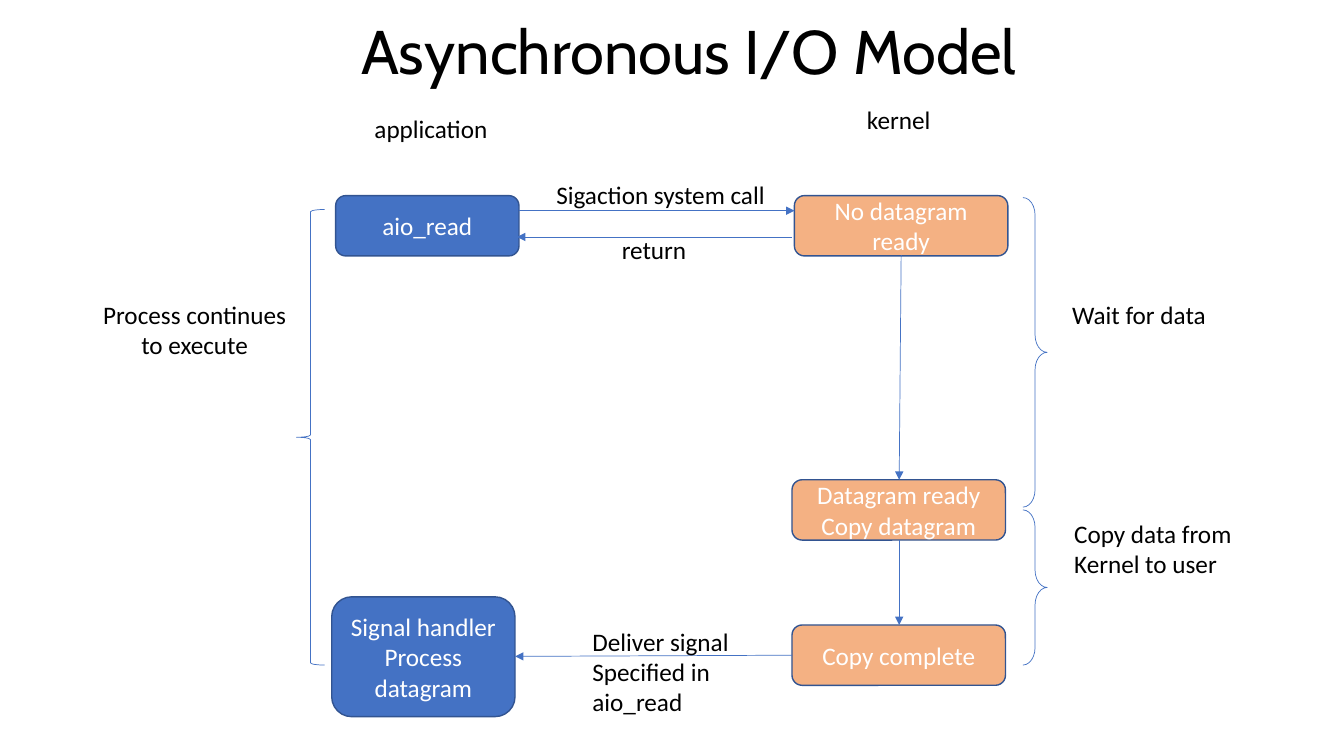
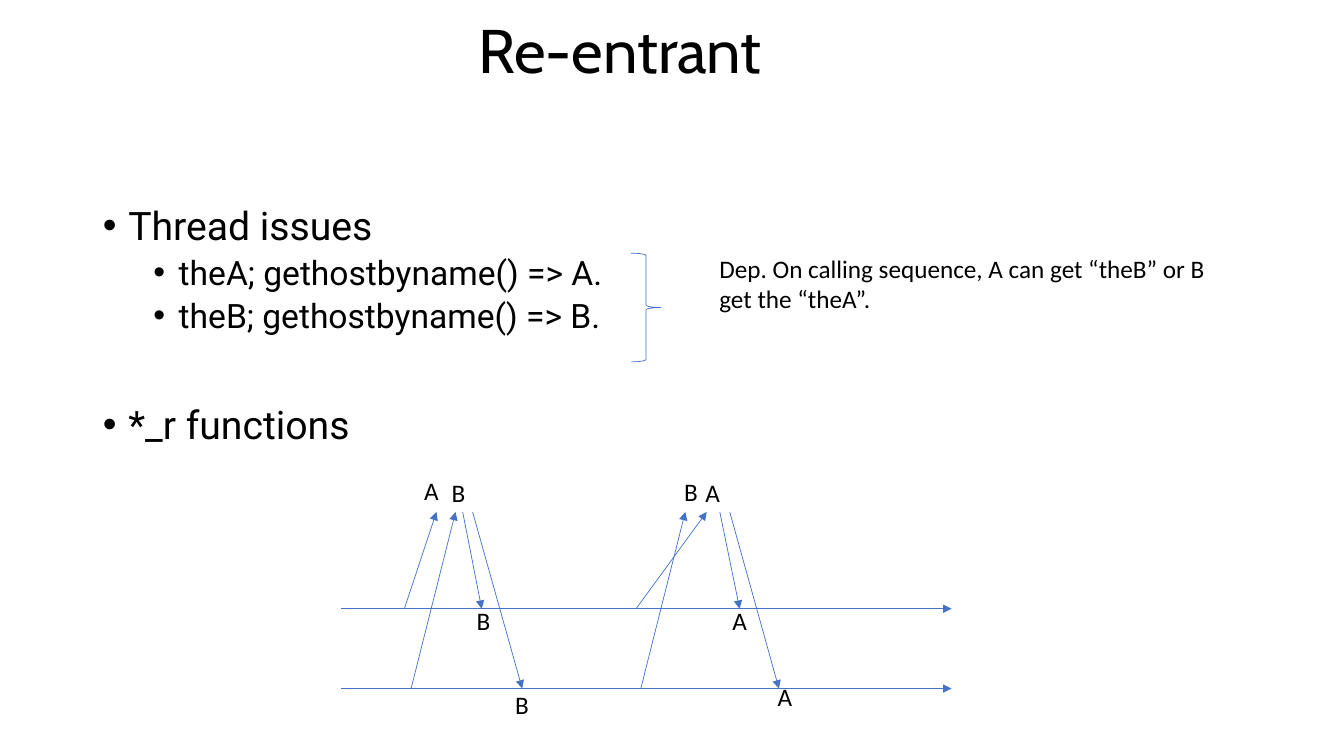
from dataclasses import dataclass

from pptx import Presentation
from pptx.dml.color import RGBColor
from pptx.enum.shapes import MSO_CONNECTOR, MSO_SHAPE
from pptx.enum.text import MSO_ANCHOR, MSO_AUTO_SIZE, PP_ALIGN
from pptx.oxml.ns import qn
from pptx.util import Cm, Pt
from lxml.etree import SubElement


@dataclass(frozen=True)
class Theme:
    black: RGBColor = RGBColor.from_string("000000")
    white: RGBColor = RGBColor.from_string("FFFFFF")
    blue: RGBColor = RGBColor.from_string("4472C4")
    navy: RGBColor = RGBColor.from_string("325491")
    orange: RGBColor = RGBColor.from_string("F4B183")
    title_font: str = "Cabin"
    body_font: str = "Roboto"
    label_font: str = "Calibri"
    title_size: Pt = Pt(44)
    bullet_size: Pt = Pt(28)
    sub_bullet_size: Pt = Pt(24)
    label_size: Pt = Pt(18)
    thin: Pt = Pt(0.5)
    outline: Pt = Pt(1)


theme = Theme()


def write(frame, text, font, size, color, align):
    frame.text = text
    frame.auto_size = MSO_AUTO_SIZE.NONE
    for para in frame.paragraphs:
        para.alignment = align
        for span in para.runs:
            span.font.name = font
            span.font.size = size
            span.font.color.rgb = color


def add_arrow(page, start_x, start_y, end_x, end_y):
    arrow = page.shapes.add_connector(
        MSO_CONNECTOR.STRAIGHT, Cm(start_x), Cm(start_y), Cm(end_x), Cm(end_y))
    arrow.line.color.rgb = theme.blue
    arrow.line.width = theme.thin
    properties = arrow.element.spPr
    SubElement(properties.find(qn("a:ln")), qn("a:tailEnd"), type="triangle")
    SubElement(properties, qn("a:effectLst"))


deck = Presentation()
deck.slide_width = Cm(33.87)
deck.slide_height = Cm(19.05)
model_page = deck.slides.add_slide(deck.slide_layouts[5])
thread_page = deck.slides.add_slide(deck.slide_layouts[1])

for page, text, width, height in [
    (model_page, "Asynchronous I/O Model", 28.37, 2.77),
    (thread_page, "Re-entrant", 24.89, 2.72),
]:
    title = page.shapes.title
    title.left, title.top, title.width, title.height = Cm(3.18), Cm(0), Cm(width), Cm(height)
    write(title.text_frame, text, theme.title_font, theme.title_size, theme.black, PP_ALIGN.CENTER)
    title.text_frame.vertical_anchor = MSO_ANCHOR.MIDDLE
    title.text_frame.paragraphs[0].line_spacing = 0.9

for text, fill, left, top, width, height in [
    ("aio_read", theme.blue, 8.46, 4.93, 4.62, 1.52),
    ("Signal handler\nProcess datagram", theme.blue, 8.36, 15.04, 4.62, 3.02),
    ("No datagram ready", theme.orange, 20.02, 4.93, 5.38, 1.52),
    ("Datagram ready\nCopy datagram", theme.orange, 19.96, 12.09, 5.38, 1.52),
    ("Copy complete", theme.orange, 19.96, 15.75, 5.38, 1.52),
]:
    node = model_page.shapes.add_shape(
        MSO_SHAPE.ROUNDED_RECTANGLE, Cm(left), Cm(top), Cm(width), Cm(height))
    node.shadow.inherit = False
    node.fill.solid()
    node.fill.fore_color.rgb = fill
    node.line.color.rgb = theme.navy
    node.line.width = theme.outline
    write(node.text_frame, text, theme.label_font, theme.label_size, theme.white, PP_ALIGN.CENTER)

for page, outline, curve, left, top, width, height in [
    (model_page, MSO_SHAPE.RIGHT_BRACE, 0.72, 25.78, 4.98, 0.61, 7.8),
    (model_page, MSO_SHAPE.RIGHT_BRACE, 0.72, 25.78, 12.85, 0.61, 3.91),
    (model_page, MSO_SHAPE.LEFT_BRACE, 0.08, 7.47, 5.28, 0.71, 11.48),
    (thread_page, MSO_SHAPE.RIGHT_BRACE, 0.08, 15.9, 6.38, 0.76, 2.74),
]:
    brace = page.shapes.add_shape(outline, Cm(left), Cm(top), Cm(width), Cm(height))
    brace.adjustments[0] = curve
    brace.shadow.inherit = False
    brace.fill.background()
    brace.line.color.rgb = theme.blue
    brace.line.width = theme.thin

for ends in [
    (13.08, 5.31, 20.02, 5.31),
    (19.96, 5.97, 13.03, 5.97),
    (22.71, 6.43, 22.66, 12.09),
    (22.66, 13.61, 22.66, 15.75),
    (19.96, 16.51, 12.98, 16.54),
]:
    add_arrow(model_page, *ends)

call_y, first_thread_y, second_thread_y = 12.9, 15.34, 17.35
for thread_y in (first_thread_y, second_thread_y):
    add_arrow(thread_page, 8.59, thread_y, 23.98, thread_y)
for thread_y, call_x, call_end_x, return_x, return_end_x in [
    (first_thread_y, 10.19, 11, 11.66, 12.14),
    (second_thread_y, 10.36, 11.48, 11.91, 13.16),
    (first_thread_y, 16.03, 17.81, 18.14, 18.64),
    (second_thread_y, 16.15, 17.27, 18.39, 19.63),
]:
    add_arrow(thread_page, call_x, thread_y, call_end_x, call_y)
    add_arrow(thread_page, return_x, call_y, return_end_x, thread_y)

body = thread_page.placeholders[1]
body.left, body.top, body.width, body.height = Cm(2.34), Cm(5.08), Cm(29.21), Cm(6.63)
bullets = [
    ("Thread issues", 0, 10),
    ("theA; gethostbyname() => A.", 1, 5),
    ("theB; gethostbyname() => B.", 1, 5),
    ("*_r functions", 0, 50),
]
write(body.text_frame, "\n".join(text for text, level, gap in bullets),
      theme.body_font, theme.bullet_size, theme.black, PP_ALIGN.LEFT)
body.text_frame.vertical_anchor = MSO_ANCHOR.TOP
for para, (text, level, gap) in zip(body.text_frame.paragraphs, bullets):
    para.level = level
    para.line_spacing = 0.9
    para.space_before = Pt(gap)
    if level:
        para.runs[0].font.size = theme.sub_bullet_size
    properties = para._p.get_or_add_pPr()
    properties.set("marL", str(Cm(0.64 + 1.27 * level)))
    properties.set("indent", str(-Cm(0.64)))
    SubElement(properties, qn("a:buChar"), char="•")

letters = [
    ("A", 10.44, 11.86), ("B", 11.13, 11.91), ("B", 11.76, 15.14), ("B", 12.73, 17.25),
    ("B", 16.99, 11.89), ("A", 17.53, 11.91), ("A", 18.21, 15.14), ("A", 19.35, 17.04),
]
labels = [
    (model_page, "application", 8.69, 2.74, 4.34, PP_ALIGN.CENTER),
    (model_page, "kernel", 19.96, 2.51, 5.38, PP_ALIGN.CENTER),
    (model_page, "Sigaction system call", 13.77, 4.39, 5.82, PP_ALIGN.LEFT),
    (model_page, "return", 15.42, 5.77, 2.16, PP_ALIGN.LEFT),
    (model_page, "Process continues\nto execute", 2.24, 7.42, 5.33, PP_ALIGN.CENTER),
    (model_page, "Wait for data", 26.77, 7.42, 3.91, PP_ALIGN.LEFT),
    (model_page, "Copy data from\nKernel to user", 26.82, 12.93, 4.67, PP_ALIGN.LEFT),
    (model_page, "Deliver signal\nSpecified in\naio_read", 14.68, 15.65, 3.99, PP_ALIGN.LEFT),
    (thread_page, "Dep. On calling sequence, A can get “theB” or B get the “theA”.",
     17.88, 6.25, 13.39, PP_ALIGN.LEFT),
] + [(thread_page, letter, left, top, 0.88, PP_ALIGN.LEFT) for letter, left, top in letters]
for page, text, left, top, width, align in labels:
    height = 0.25 + 0.77 * (text.count("\n") + 1)
    box = page.shapes.add_textbox(Cm(left), Cm(top), Cm(width), Cm(height))
    write(box.text_frame, text, theme.label_font, theme.label_size, theme.black, align)
    box.text_frame.word_wrap = width > 10

deck.save("out.pptx")
